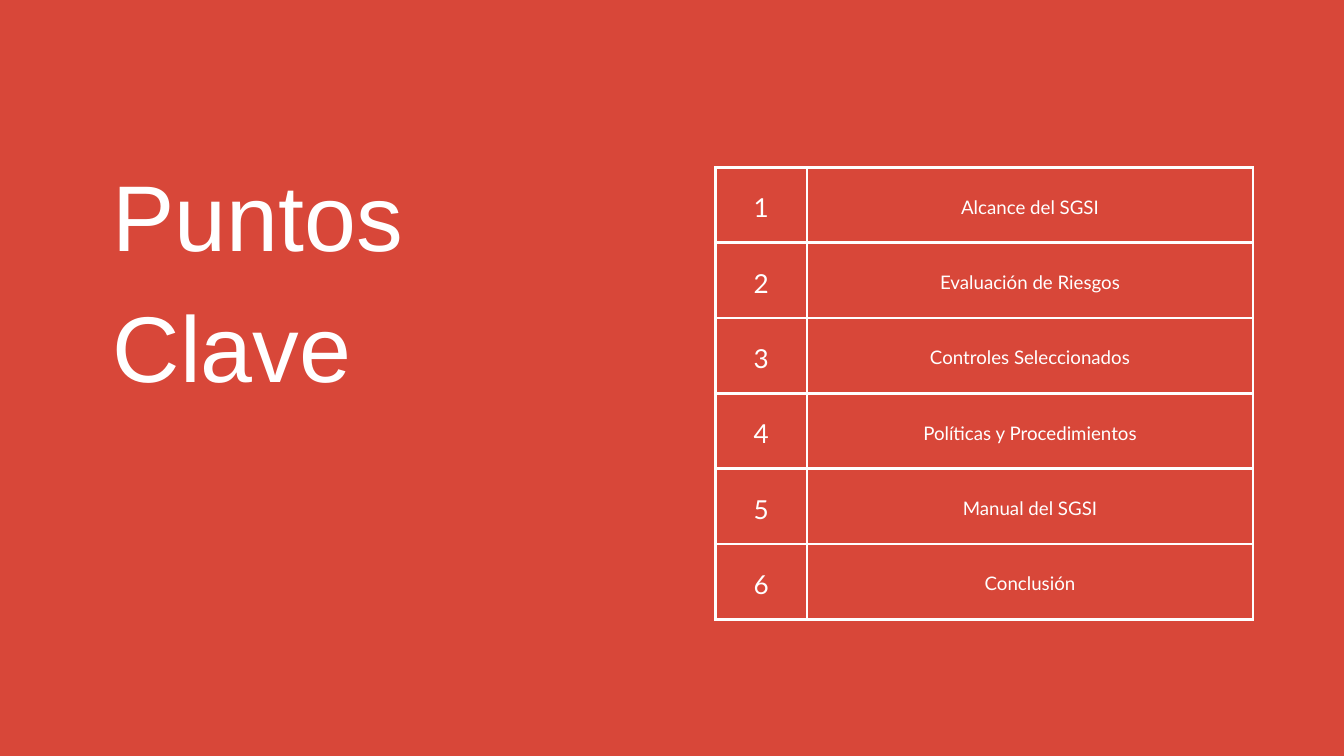
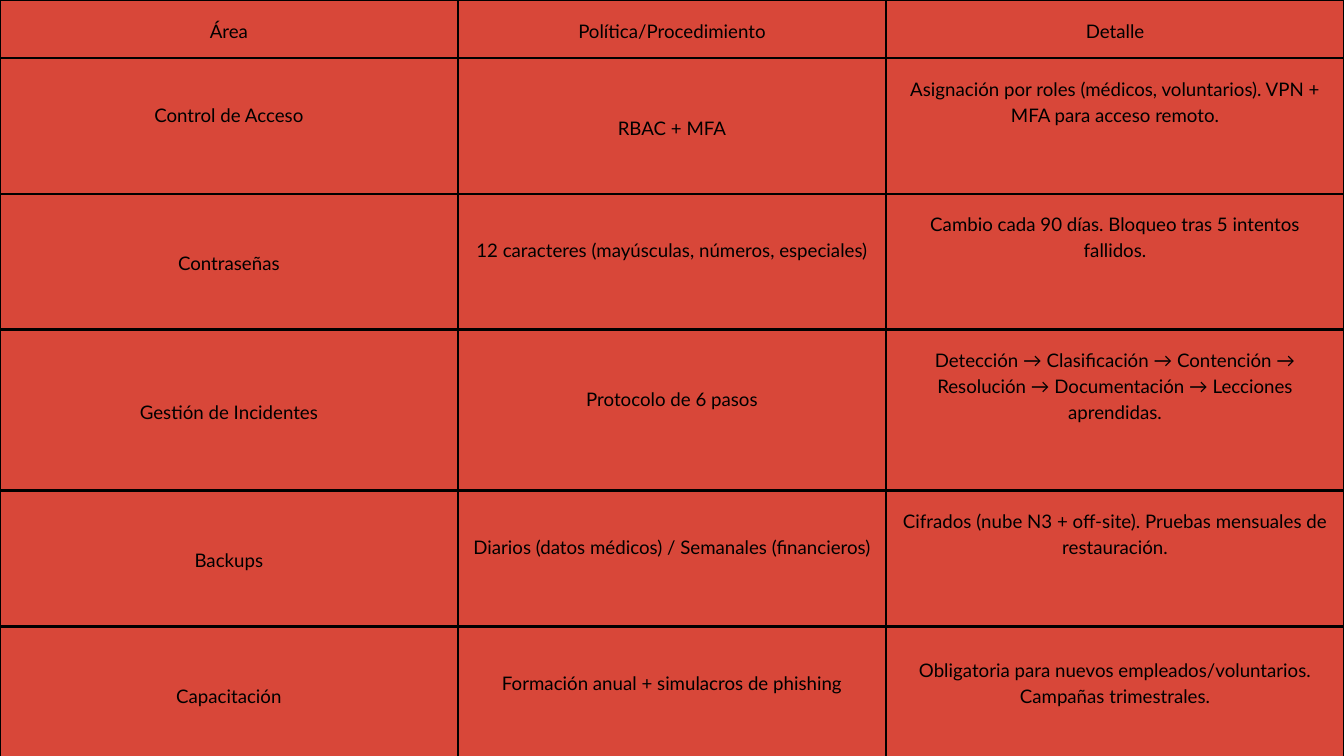
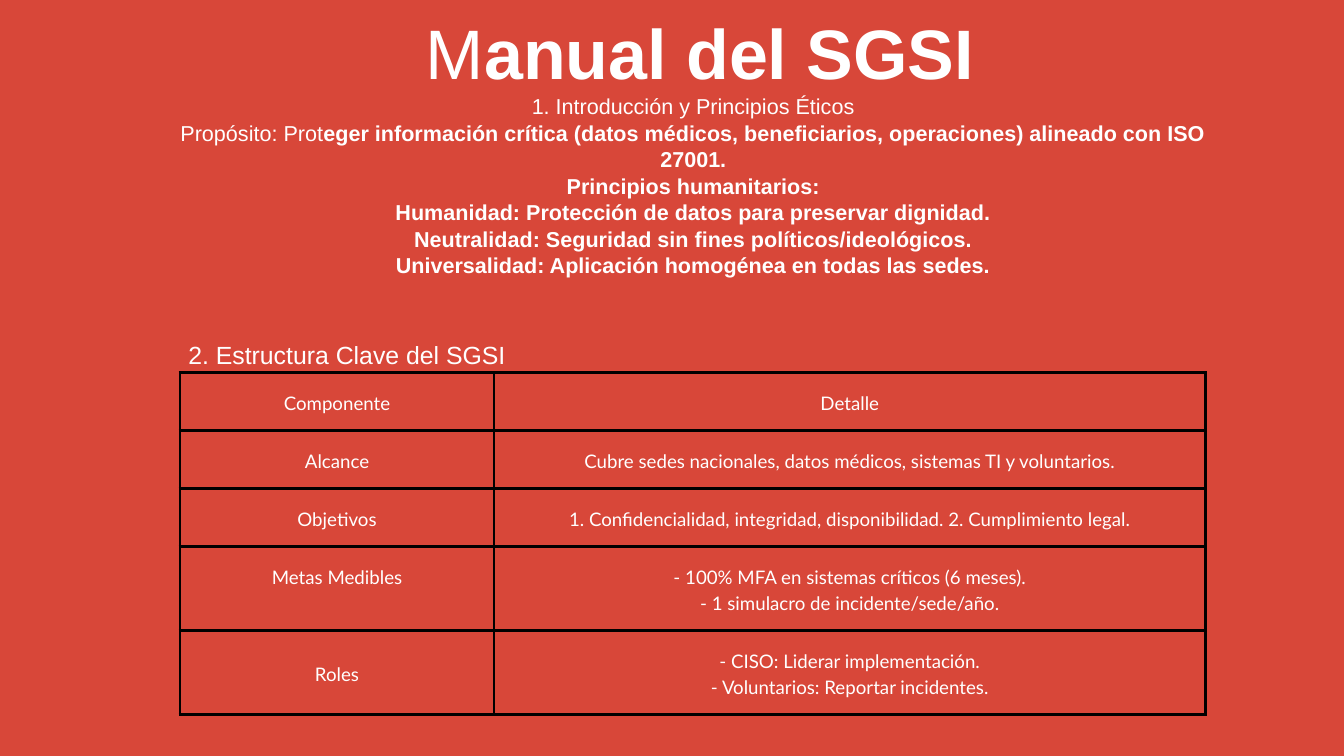
from dataclasses import dataclass

from lxml import etree
from pptx import Presentation
from pptx import util as u
from pptx.dml.color import RGBColor
from pptx.enum import text
from pptx.oxml.ns import qn

EMU_PER_PX = 9525  # 96 px to the inch
SLIDE_WIDTH, SLIDE_HEIGHT = 1920, 1080

RED, WHITE, BLACK = "D84739", "FFFFFF", "000000"
HEADING_FONT, TABLE_FONT = "Arial", "Lato"
CELL_INSET = 20
CELL_LINE = 37  # height of one text line in a cell
BORDER_POINTS = 3
LOOSE, TIGHT = 1.4, 1.23  # line spacing as a multiple of the text size

LEFT, CENTER, RIGHT = (
    text.PP_ALIGN.LEFT, text.PP_ALIGN.CENTER, text.PP_ALIGN.RIGHT)


@dataclass
class Style:
    size: float
    font: str = TABLE_FONT
    color: str = WHITE
    spacing: float = LOOSE
    align: int = CENTER


def px(length):
    return u.Emu(round(length * EMU_PER_PX))


def rgb(value):
    return RGBColor.from_string(value)


# Shared parts

def add_slide(presentation):
    slide = presentation.slides.add_slide(presentation.slide_layouts[6])
    slide.background.fill.solid()
    slide.background.fill.fore_color.rgb = rgb(RED)
    return slide


def set_text(frame, paragraphs, style):
    """Each paragraph is a string, or a pair of plain and bold text."""
    for index, content in enumerate(paragraphs):
        paragraph = frame.add_paragraph() if index else frame.paragraphs[0]
        plain, bold = (content, "") if isinstance(content, str) else content
        paragraph.alignment = style.align
        paragraph.line_spacing = u.Pt(round(style.size * style.spacing, 1))
        for part, is_bold in ((plain, False), (bold, True)):
            if part:
                run = paragraph.add_run()
                run.text = part
                run.font.name = style.font
                run.font.size = u.Pt(style.size)
                run.font.bold = is_bold
                run.font.color.rgb = rgb(style.color)


def add_text(slide, box, paragraphs, style):
    frame = slide.shapes.add_textbox(*map(px, box)).text_frame
    frame.word_wrap = True
    frame.auto_size = text.MSO_AUTO_SIZE.SHAPE_TO_FIT_TEXT
    frame.margin_left = frame.margin_right = 0
    frame.margin_top = frame.margin_bottom = 0
    set_text(frame, paragraphs, style)


def set_borders(cell, color):
    properties = cell._tc.get_or_add_tcPr()
    for index, side in enumerate(("lnL", "lnR", "lnT", "lnB")):
        line = etree.Element(qn(f"a:{side}"), w=str(u.Pt(BORDER_POINTS)))
        fill = etree.SubElement(line, qn("a:solidFill"))
        etree.SubElement(fill, qn("a:srgbClr"), val=color)
        properties.insert(index, line)


def add_grid(slide, origin, columns, rows, contents, styles, border, lifts=None):
    """Lifts tell how many lines of room each cell keeps under its text."""
    left, top = origin
    table = slide.shapes.add_table(
        len(rows), len(columns), px(left), px(top),
        px(sum(columns)), px(sum(rows))).table
    table.first_row = table.horz_banding = False
    for column, width in zip(table.columns, columns):
        column.width = px(width)
    for row, height in zip(table.rows, rows):
        row.height = px(height)

    for r, row in enumerate(contents):
        for c, content in enumerate(row):
            cell = table.cell(r, c)
            lift = lifts[r][c] if lifts else 0
            cell.fill.solid()
            cell.fill.fore_color.rgb = rgb(RED)
            cell.vertical_anchor = text.MSO_ANCHOR.MIDDLE
            cell.margin_left = cell.margin_right = px(CELL_INSET)
            cell.margin_top = px(CELL_INSET)
            cell.margin_bottom = px(CELL_INSET + lift * CELL_LINE)
            set_text(cell.text_frame, content.split("\n"), styles[c])
            set_borders(cell, border)


# Slides

def build_key_points(presentation):
    slide = add_slide(presentation)
    topics = ["Alcance del SGSI", "Evaluación de Riesgos",
              "Controles Seleccionados", "Políticas y Procedimientos",
              "Manual del SGSI", "Conclusión"]
    table_height = 646
    add_grid(slide, (1022, 239), [131, 637],
             [table_height / len(topics)] * len(topics),
             [(str(number), topic) for number, topic in enumerate(topics, 1)],
             [Style(28), Style(20)], WHITE)
    add_text(slide, (161, 200, 542, 367), ["Puntos Clave"],
             Style(100, HEADING_FONT, align=LEFT))


def build_policies(presentation):
    slide = add_slide(presentation)
    policies = [
        ("Área", "Política/Procedimiento", "Detalle"),
        ("Control de Acceso", "RBAC + MFA",
         "Asignación por roles (médicos, voluntarios). "
         "VPN + MFA para acceso remoto."),
        ("Contraseñas", "12 caracteres (mayúsculas, números, especiales)",
         "Cambio cada 90 días. Bloqueo tras 5 intentos fallidos."),
        ("Gestión de Incidentes", "Protocolo de 6 pasos",
         "Detección → Clasificación → Contención → Resolución → "
         "Documentación → Lecciones aprendidas."),
        ("Backups", "Diarios (datos médicos) / Semanales (financieros)",
         "Cifrados (nube N3 + off-site). Pruebas mensuales de restauración."),
        ("Capacitación", "Formación anual + simulacros de phishing",
         "Obligatoria para nuevos empleados/voluntarios. "
         "Campañas trimestrales."),
    ]
    lifts = [(0, 0, 0), (1, 0, 2), (0, 1, 2), (0, 1, 2), (0, 1, 2), (0, 1, 1)]
    add_grid(slide, (0, 0), [654, 612, 654], [83, 194, 194, 230, 194, 194],
             policies, [Style(20, color=BLACK)] * 3, BLACK, lifts)


def build_manual(presentation):
    slide = add_slide(presentation)

    # Structure table
    components = [
        ("Componente", "Detalle"),
        ("Alcance",
         "Cubre sedes nacionales, datos médicos, sistemas TI y voluntarios."),
        ("Objetivos", "1. Confidencialidad, integridad, disponibilidad. "
                      "2. Cumplimiento legal."),
        ("Metas Medibles", "- 100% MFA en sistemas críticos (6 meses).\n"
                           "- 1 simulacro de incidente/sede/año."),
        ("Roles", "- CISO: Liderar implementación.\n"
                  "- Voluntarios: Reportar incidentes."),
    ]
    lifts = [(0, 0), (0, 0), (0, 0), (1, 0), (0, 0)]
    add_grid(slide, (257, 532), [449, 1016], [83, 83, 83, 120, 120],
             components, [Style(20)] * 2, BLACK, lifts)

    # Title, introduction and table heading
    add_text(slide, (560, 11, 832, 124), [("M", "anual del SGSI")],
             Style(75, HEADING_FONT, spacing=TIGHT, align=RIGHT))
    introduction = [
        "1. Introducción y Principios Éticos",
        ("Propósito: Prot",
         "eger información crítica (datos médicos, beneficiarios, "
         "operaciones) alineado con ISO 27001."),
        ("", "Principios humanitarios:"),
        ("", "Humanidad: Protección de datos para preservar dignidad."),
        ("", "Neutralidad: Seguridad sin fines políticos/ideológicos."),
        ("", "Universalidad: Aplicación homogénea en todas las sedes."),
    ]
    add_text(slide, (241, 132, 1499, 300), introduction,
             Style(23.1, HEADING_FONT, spacing=TIGHT))
    add_text(slide, (0, 484, 992, 44), ["2. Estructura Clave del SGSI"],
             Style(26.6, HEADING_FONT, spacing=TIGHT))


def main():
    presentation = Presentation()
    presentation.slide_width = px(SLIDE_WIDTH)
    presentation.slide_height = px(SLIDE_HEIGHT)
    for build in (build_key_points, build_policies, build_manual):
        build(presentation)
    presentation.save("out.pptx")


if __name__ == "__main__":
    main()
